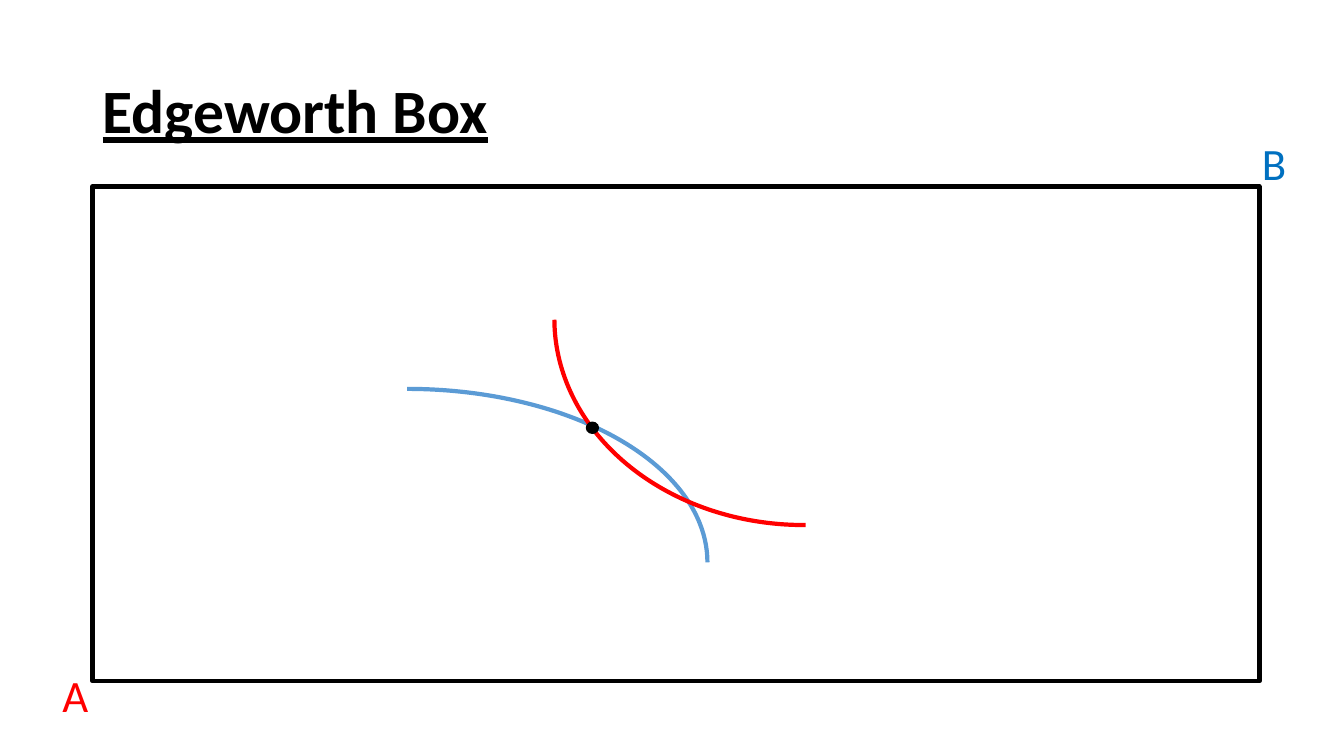
from pptx import Presentation
from pptx.dml.color import RGBColor as Rgb
from pptx.enum.shapes import MSO_SHAPE as Kind
from pptx.enum.text import MSO_ANCHOR as Anchor, MSO_AUTO_SIZE as Fit, PP_ALIGN as Align
from pptx.util import Cm, Pt

COLORS = {"black": "000000", "white": "FFFFFF", "red": "FF0000",
          "blue": "0070C0", "curve": "5B9BD5"}


def color(name):
    return Rgb.from_string(COLORS[name])


def write(frame, text, size=32, tint="black", bold=False, line=False, space=1.0):
    frame.word_wrap = True
    para = frame.paragraphs[0]
    para.alignment = Align.LEFT
    para.line_spacing = space
    run = para.add_run()
    run.text = text
    font = run.font
    font.name, font.size = "Calibri", Pt(size)
    font.bold, font.underline = bold, line
    font.color.rgb = color(tint)


def draw(slide, kind, box, tint="black", fill=None, width=3):
    shape = slide.shapes.add_shape(kind, *map(Cm, box))
    shape.shadow.inherit = False
    if fill:
        shape.fill.solid()
        shape.fill.fore_color.rgb = color(fill)
    else:
        shape.fill.background()
    shape.line.color.rgb = color(tint)
    shape.line.width = Pt(width)
    return shape


def label(slide, text, left, top, tint):
    frame = slide.shapes.add_textbox(Cm(left), Cm(top), Cm(1.6), Cm(1.63)).text_frame
    frame.auto_size = Fit.SHAPE_TO_FIT_TEXT
    write(frame, text, tint=tint)


def head(slide, box):
    title = slide.shapes.title
    title.left, title.top, title.width, title.height = map(Cm, box)
    title.text_frame.vertical_anchor = Anchor.MIDDLE
    write(title.text_frame, "Edgeworth Box", size=44, bold=True, line=True, space=0.9)


def graph(slide, box):
    left, top, width, height = box
    draw(slide, Kind.RECTANGLE, box, fill="white")
    label(slide, "B", left + width - 0.19, top - 1.4, "blue")
    label(slide, "A", left - 1.01, top + height - 0.46, "red")
    draw(slide, Kind.ARC, (left + 0.36, top + 5.1, 15.14, 8.74), "curve")
    arc = draw(slide, Kind.ARC, (left + 11.64, top - 1.86, 12.57, 10.39), "red")
    arc.rotation = 180
    arc.adjustments[0], arc.adjustments[1] = 161.7, 215.88
    draw(slide, Kind.OVAL, (left + 12.45, top + 5.94, 0.3, 0.28), fill="black", width=1)


deck = Presentation()
deck.slide_width, deck.slide_height = Cm(33.87), Cm(19.05)
page = deck.slides.add_slide(deck.slide_layouts[5])
head(page, (2.33, 1.02, 29.21, 3.68))
graph(page, (2.33, 4.7, 29.41, 12.47))
deck.save("out.pptx")
